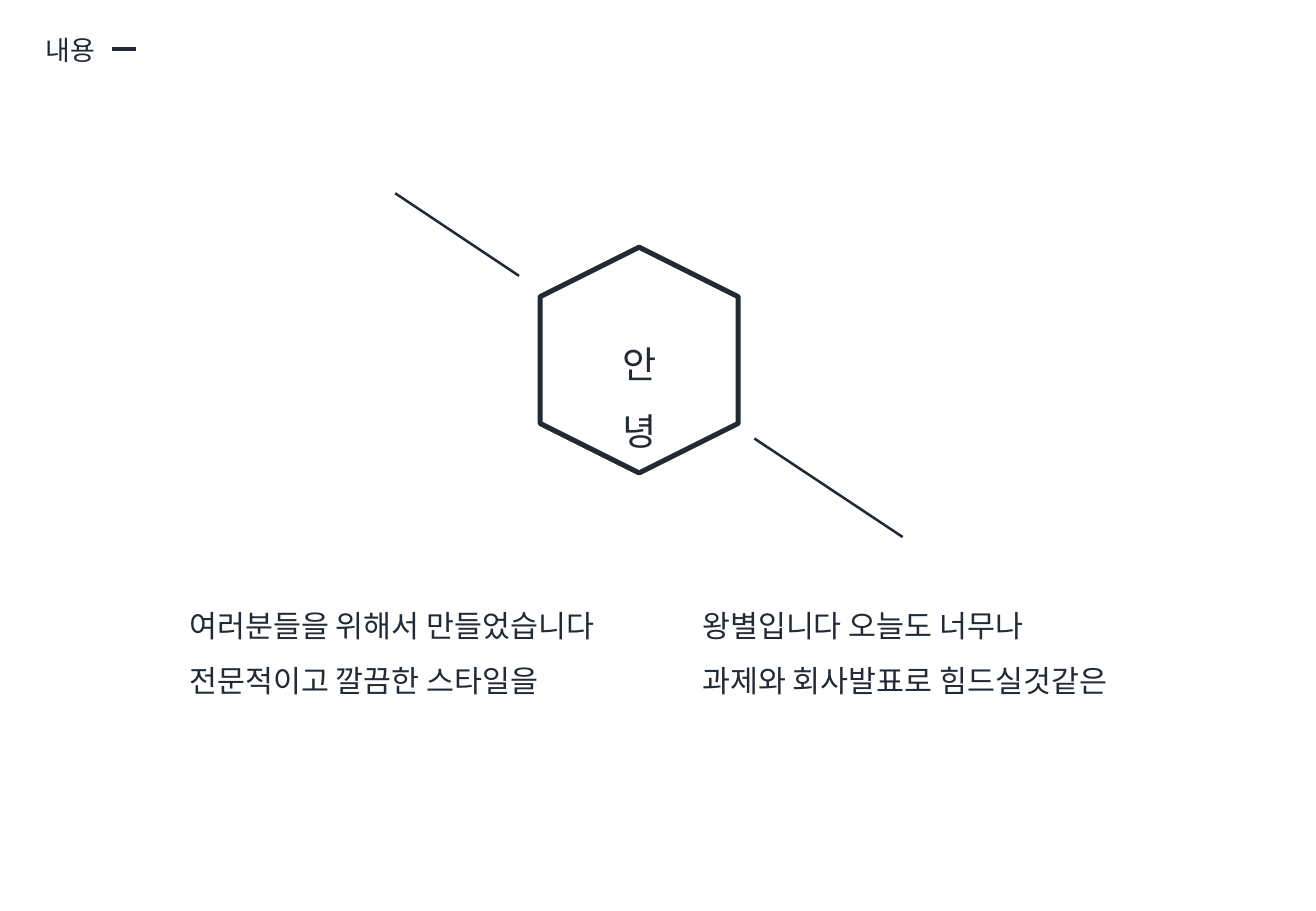
import pptx
import pptx.util
import pptx.dml.color
import pptx.enum.shapes
import pptx.enum.text
import pptx.oxml.ns
import lxml.etree

Cm, Pt = pptx.util.Cm, pptx.util.Pt
LEFT = pptx.enum.text.PP_ALIGN.LEFT
CENTER = pptx.enum.text.PP_ALIGN.CENTER
FONT = "Noto Sans CJK KR"
COLORS = {"ink": "222A35"}

# left, top, width, height in cm; size in points
TEXTS = [
    {"lines": ["내용"], "box": (0.71, 0.58, 3.84, 0.94),
     "size": 16, "spacing": 1.0, "align": LEFT},
    {"lines": ["안 녕"], "box": (12.36, 6.55, 2, 1.52),
     "size": 22, "spacing": 1.5, "align": CENTER},
    {"lines": ["왕별입니다 오늘도 너무나", "과제와 회사발표로 힘드실것같은"],
     "box": (14.43, 12.19, 10.06, 2.57),
     "size": 18, "spacing": 1.5, "align": LEFT},
    {"lines": ["여러분들을 위해서 만들었습니다", "전문적이고 깔끔한 스타일을"],
     "box": (3.71, 12.19, 13.77, 2.57),
     "size": 18, "spacing": 1.5, "align": LEFT},
]
# start x, start y, end x, end y in cm; width in points
LINES = [
    ((2.34, 1.02, 2.84, 1.02), 2.25),
    ((15.77, 9.17, 18.87, 11.23), 1.5),
    ((8.26, 4.04, 10.85, 5.77), 1.5),
]
HEXAGON = (11, 5.46, 4.72, 4.14)


def ink():
    return pptx.dml.color.RGBColor.from_string(COLORS["ink"])


def set_line(line, width):
    line.color.rgb = ink()
    line.width = Pt(width)


def add_line(slide, ends, width):
    c = slide.shapes.add_connector(
        pptx.enum.shapes.MSO_CONNECTOR.STRAIGHT, *map(Cm, ends))
    set_line(c.line, width)
    lxml.etree.SubElement(c._element.spPr, pptx.oxml.ns.qn("a:effectLst"))


def add_hexagon(slide):
    sp = slide.shapes.add_shape(
        pptx.enum.shapes.MSO_SHAPE.HEXAGON, *map(Cm, HEXAGON))
    sp.rotation = 90
    sp.shadow.inherit = False
    sp.fill.background()
    set_line(sp.line, 3)


def add_text(slide, item):
    tf = slide.shapes.add_textbox(*map(Cm, item["box"])).text_frame
    tf.word_wrap = True
    for i, text in enumerate(item["lines"]):
        p = tf.add_paragraph() if i else tf.paragraphs[0]
        for name, value in {"alignment": item["align"],
                            "line_spacing": item["spacing"]}.items():
            setattr(p, name, value)
        r = p.add_run()
        r.text = text
        for name, value in {"name": FONT, "size": Pt(item["size"])}.items():
            setattr(r.font, name, value)
        r.font.color.rgb = ink()
        # Hangul takes its typeface from the East Asian font
        lxml.etree.SubElement(r._r.get_or_add_rPr(),
                              pptx.oxml.ns.qn("a:ea"), typeface=FONT)


def main():
    prs = pptx.Presentation()
    prs.slide_width, prs.slide_height = Cm(27.51), Cm(19.05)
    slide = prs.slides.add_slide(prs.slide_layouts[6])
    add_hexagon(slide)
    for ends, width in LINES:
        add_line(slide, ends, width)
    for item in TEXTS:
        add_text(slide, item)
    prs.save("out.pptx")


if __name__ == "__main__":
    main()
